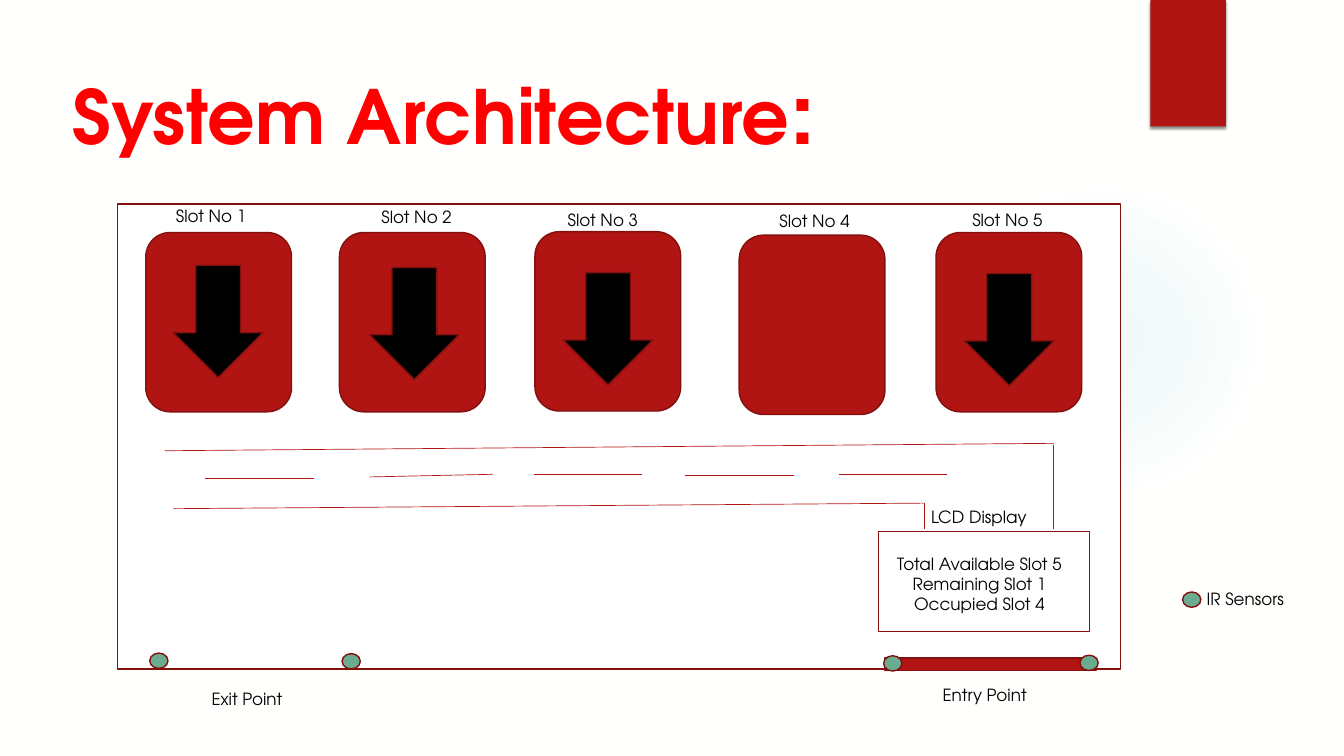
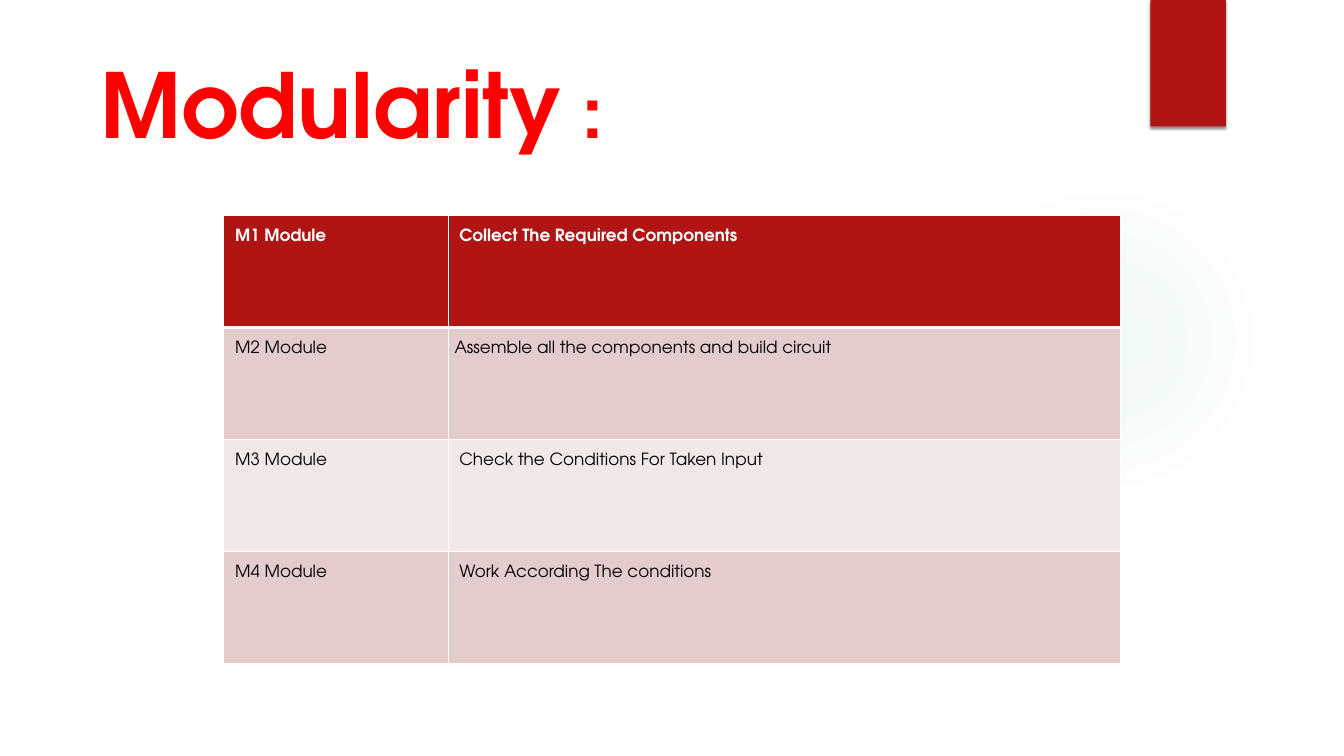
from dataclasses import dataclass
from typing import NamedTuple, Optional

from lxml.etree import SubElement
from pptx import Presentation
from pptx.dml.color import RGBColor
from pptx.enum.shapes import MSO_CONNECTOR, MSO_SHAPE
from pptx.enum.text import MSO_ANCHOR, MSO_AUTO_SIZE, PP_ALIGN
from pptx.oxml import parse_xml
from pptx.oxml.ns import nsdecls, qn
from pptx.util import Cm, Pt


# Theme
@dataclass(frozen=True)
class Theme:
    font: str = "TeX Gyre Adventor"
    paper: str = "FFFFFE"
    white: str = "FFFFFF"
    black: str = "000000"
    title: str = "FF0000"
    red: str = "B01513"
    edge: str = "82100E"
    green: str = "6AAC90"
    glow: str = "50B9C1"
    dark: str = "E4CCCC"
    pale: str = "F2E8E7"
    body: float = 18
    large: float = 80
    huge: float = 96
    lead: float = 116.8
    thin: float = 0.75
    line: float = 1.5


THEME = Theme()


class Box(NamedTuple):
    left: float
    top: float
    width: float
    height: float

    def size(self) -> tuple:
        return tuple(Cm(value) for value in self)


class Label(NamedTuple):
    text: str
    box: Box
    align: PP_ALIGN = PP_ALIGN.LEFT


class Slot(NamedTuple):
    left: float
    top: float
    text_at: tuple[float, float]
    arrow_at: Optional[tuple[float, float]]


class Line(NamedTuple):
    x1: float
    y1: float
    x2: float
    y2: float


class Row(NamedTuple):
    name: str
    task: str
    fill: str
    inset: float = 0.43


# Parking plan, in centimetres
FRAME = Box(4.45, 7.72, 37.9, 17.58)
GATE = Box(33.45, 24.87, 7.98, 0.48)
SCREEN = Box(33.2, 20.09, 7.98, 3.78)
SLOT_SIZE = (5.51, 6.78)
ARROW_SIZE = (3.39, 4.24)
TEXT_SIZE = (4, 1.02)
DOT_SIZE = (0.69, 0.58)

SLOTS = [
    Slot(5.51, 8.79, (6.4, 7.67), (6.55, 10.03)),
    Slot(12.83, 8.79, (14.17, 7.7), (13.97, 10.11)),
    Slot(20.22, 8.76, (21.21, 7.8), (21.29, 10.31)),
    Slot(27.94, 8.89, (29.21, 7.85), None),
    Slot(35.38, 8.79, (36.5, 7.82), (36.45, 10.34)),
]
LABELS = [
    Label("Entry Point", Box(35.38, 25.76, 8.03, 1.02)),
    Label("Exit Point", Box(7.75, 25.91, 8.03, 1.02)),
    Label("Total Available Slot 5\nRemaining Slot 1\nOccupied Slot 4",
          Box(33.58, 20.8, 6.88, 3.33), PP_ALIGN.CENTER),
    Label("LCD Display", Box(34.95, 19.02, 5.51, 1.02)),
    Label("IR Sensors", Box(45.36, 22.15, 3.66, 1.02)),
]
DOTS = [(33.4, 24.79), (40.82, 24.77), (12.93, 24.71), (5.66, 24.69), (44.7, 22.38)]
ROAD = [
    # Edges
    Line(6.22, 17.04, 39.83, 16.76),
    Line(6.55, 19.23, 34.95, 19.02),
    Line(34.95, 19.02, 34.95, 19.99),
    Line(39.83, 16.84, 39.83, 19.99),
    # Centre dashes
    Line(7.75, 18.08, 11.86, 18.08),
    Line(13.97, 18.03, 18.62, 17.93),
    Line(20.17, 17.93, 24.28, 17.93),
    Line(25.88, 17.98, 30, 17.98),
    Line(31.7, 17.93, 35.79, 17.93),
]

# Module table
GRID = Box(8.46, 8.15, 33.87, 16.93)
COLS = (8.47, 25.4)
ROWS = [
    Row("M1 Module", "Collect The Required Components", THEME.red),
    Row("M2 Module", "Assemble all the components and build circuit", THEME.dark, 0.25),
    Row("M3 Module", "Check the Conditions For Taken Input", THEME.pale),
    Row("M4 Module", "Work According The conditions", THEME.dark),
]


# Shared drawing
def add_run(para, text: str, size: float = THEME.body,
            color: str = THEME.black, bold: bool = False) -> None:
    run = para.add_run()
    run.text = text
    run.font.name = THEME.font
    run.font.size = Pt(size)
    run.font.bold = bold
    run.font.color.rgb = RGBColor.from_string(color)


def add_form(slide, kind: MSO_SHAPE, box: Box, fill: Optional[str],
             edge: Optional[str] = THEME.edge):
    form = slide.shapes.add_shape(kind, *box.size())
    form.shadow.inherit = False
    if fill:
        form.fill.solid()
        form.fill.fore_color.rgb = RGBColor.from_string(fill)
    else:
        form.fill.background()
    if edge:
        form.line.color.rgb = RGBColor.from_string(edge)
        form.line.width = Pt(THEME.line)
    else:
        form.line.fill.background()
    return form


def add_label(slide, label: Label) -> None:
    frame = slide.shapes.add_textbox(*label.box.size()).text_frame
    frame.word_wrap = True
    for index, text in enumerate(label.text.split("\n")):
        para = frame.add_paragraph() if index else frame.paragraphs[0]
        para.alignment = label.align
        add_run(para, text)


def add_line(slide, line: Line) -> None:
    link = slide.shapes.add_connector(
        MSO_CONNECTOR.STRAIGHT, *(Cm(value) for value in line))
    link.line.color.rgb = RGBColor.from_string(THEME.red)
    link.line.width = Pt(THEME.thin)
    SubElement(link.element.spPr, qn("a:effectLst"))


def add_decor(slide) -> None:
    # Soft glow
    glow = add_form(slide, MSO_SHAPE.OVAL, Box(35.86, 6.98, 11.73, 11.73), None, None)
    stops = "".join(
        f'<a:gs pos="{spot * 1000}"><a:srgbClr val="{THEME.glow}">'
        f'<a:alpha val="{alpha * 1000}"/></a:srgbClr></a:gs>'
        for spot, alpha in ((0, 7), (36, 6), (69, 0)))
    props = glow.element.spPr
    props.replace(props.find(qn("a:noFill")), parse_xml(
        f'<a:gradFill {nsdecls("a")}><a:gsLst>{stops}</a:gsLst><a:path path="circle">'
        '<a:fillToRect l="50000" t="50000" r="50000" b="50000"/></a:path></a:gradFill>'))

    # Corner band
    band = add_form(slide, MSO_SHAPE.RECTANGLE, Box(43.48, 0, 2.86, 4.78), THEME.red, None)
    band.element.spPr.find(qn("a:effectLst")).append(parse_xml(
        f'<a:outerShdw {nsdecls("a")} blurRad="{Pt(3)}" dist="{Pt(2)}" dir="5400000">'
        f'<a:srgbClr val="{THEME.black}"><a:alpha val="45000"/></a:srgbClr></a:outerShdw>'))


def add_slide(deck, left: float, top: float, runs: list[tuple[str, float]]):
    slide = deck.slides.add_slide(deck.slide_layouts[5])
    add_decor(slide)
    title = slide.shapes.title
    title.left, title.top, title.width, title.height = Box(left, top, 41.94, 8.33).size()
    frame = title.text_frame
    frame.margin_left = frame.margin_right = frame.margin_top = frame.margin_bottom = 0
    frame.vertical_anchor = MSO_ANCHOR.TOP
    frame.auto_size = MSO_AUTO_SIZE.NONE
    frame.word_wrap = True
    para = frame.paragraphs[0]
    para.alignment = PP_ALIGN.LEFT
    para.line_spacing = Pt(THEME.lead)
    for text, size in runs:
        add_run(para, text, size, THEME.title, True)
    return slide


# Slide 1: parking plan
def add_plan(deck) -> None:
    slide = add_slide(deck, 2.74, 2.01,
                      [("System Architecture", THEME.large), (":", THEME.huge)])
    add_form(slide, MSO_SHAPE.RECTANGLE, FRAME, THEME.white)
    for number, slot in enumerate(SLOTS, 1):
        add_form(slide, MSO_SHAPE.ROUNDED_RECTANGLE,
                 Box(slot.left, slot.top, *SLOT_SIZE), THEME.red)
        add_label(slide, Label(f"Slot No {number}", Box(*slot.text_at, *TEXT_SIZE)))
        if slot.arrow_at:
            add_form(slide, MSO_SHAPE.DOWN_ARROW,
                     Box(*slot.arrow_at, *ARROW_SIZE), THEME.black)
    add_form(slide, MSO_SHAPE.RECTANGLE, GATE, THEME.red)
    add_form(slide, MSO_SHAPE.RECTANGLE, SCREEN, THEME.white)
    for label in LABELS:
        add_label(slide, label)
    for dot in DOTS:
        add_form(slide, MSO_SHAPE.OVAL, Box(*dot, *DOT_SIZE), THEME.green)
    for line in ROAD:
        add_line(slide, line)


# Slide 2: module table
def add_edges(cell, top: float, base: float) -> None:
    props = cell._tc.get_or_add_tcPr()
    for index, (side, width) in enumerate(zip("LRTB", (1, 1, top, base))):
        props.insert(index, parse_xml(
            f'<a:ln{side} {nsdecls("a")} w="{Pt(width)}"><a:solidFill>'
            f'<a:srgbClr val="{THEME.white}"/></a:solidFill></a:ln{side}>'))


def add_modules(deck) -> None:
    slide = add_slide(deck, 3.81, 1.8,
                      [("Modularity", THEME.huge), (" :", THEME.large)])
    table = slide.shapes.add_table(len(ROWS), len(COLS), *GRID.size()).table
    for col, width in zip(table.columns, COLS):
        col.width = Cm(width)
    for index, row in enumerate(ROWS):
        table.rows[index].height = Cm(GRID.height / len(ROWS))
        head = index == 0
        for spot, (text, inset) in enumerate(((row.name, 0.43), (row.task, row.inset))):
            cell = table.cell(index, spot)
            cell.margin_left = Cm(inset)
            cell.margin_top = Cm(0.5)
            cell.fill.solid()
            cell.fill.fore_color.rgb = RGBColor.from_string(row.fill)
            add_run(cell.text_frame.paragraphs[0], text,
                    color=THEME.white if head else THEME.black, bold=head)
            add_edges(cell, 3 if index == 1 else 1, 3 if head else 1)


def main() -> None:
    deck = Presentation()
    deck.slide_width, deck.slide_height = Cm(50.8), Cm(28.58)
    back = deck.slide_master.background.fill
    back.solid()
    back.fore_color.rgb = RGBColor.from_string(THEME.paper)
    add_plan(deck)
    add_modules(deck)
    deck.save("out.pptx")


if __name__ == "__main__":
    main()
